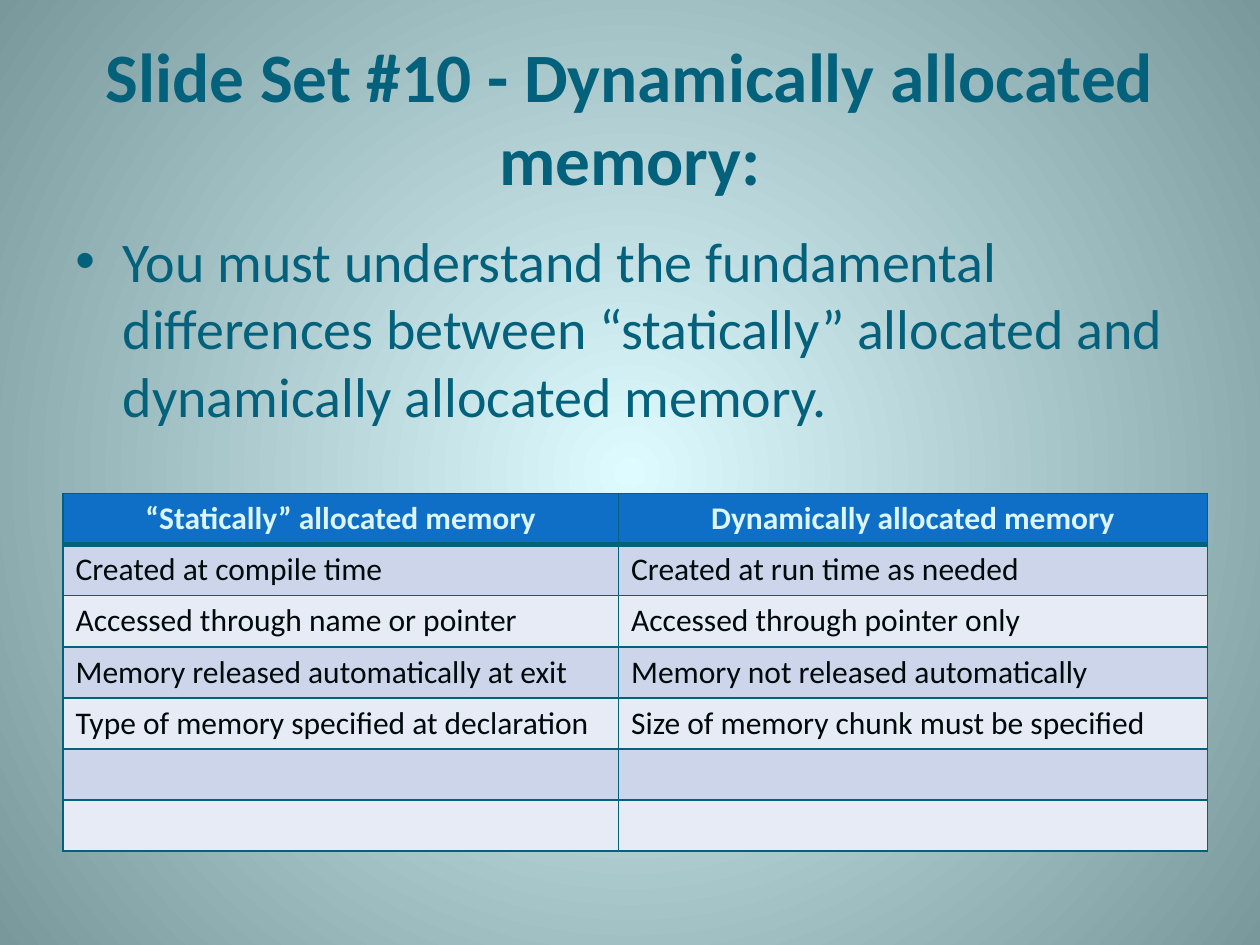
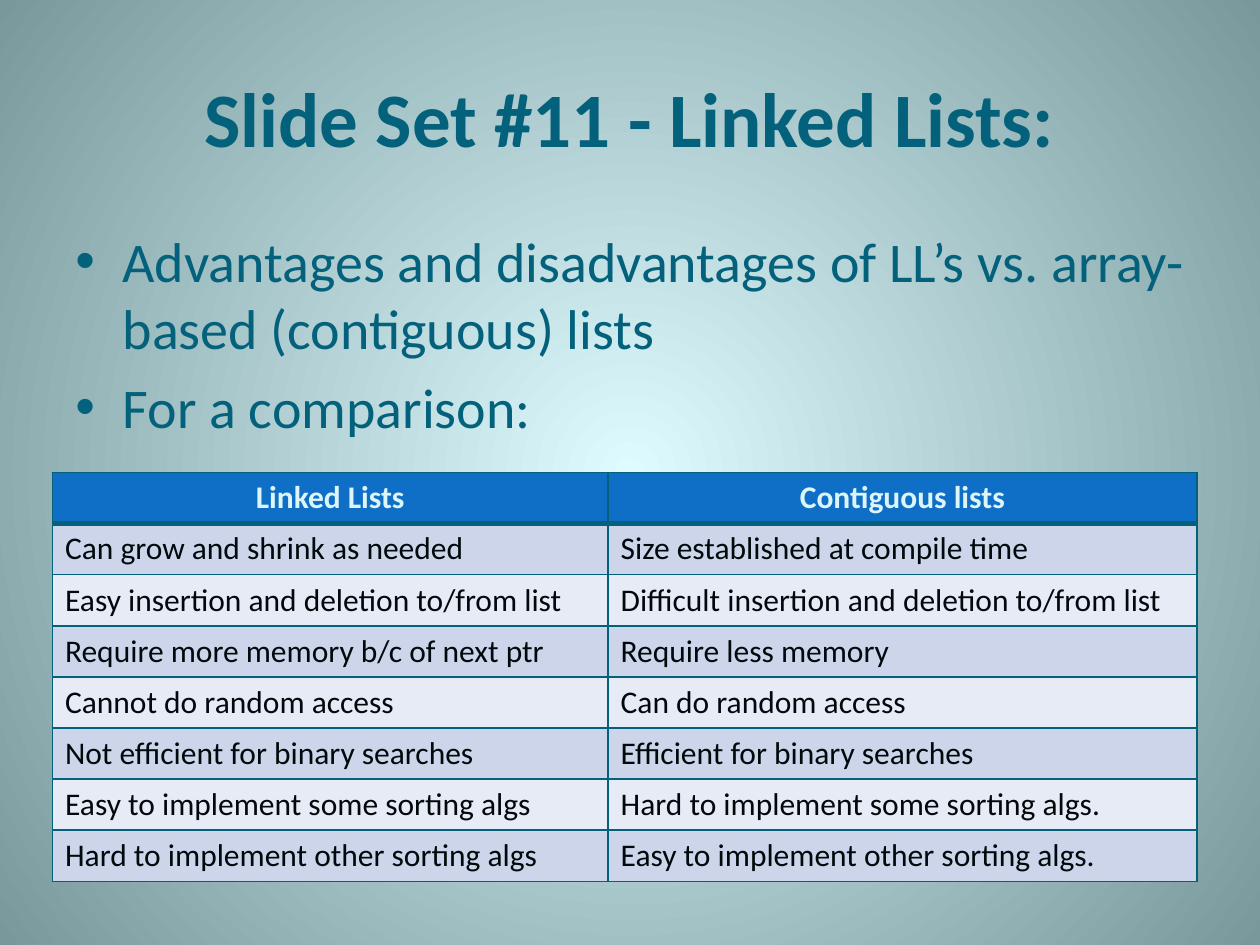
from lxml import etree
from pptx import Presentation
from pptx.dml.color import RGBColor
from pptx.enum import text
from pptx.oxml import ns
from pptx.util import Pt

TEAL = RGBColor(0x04, 0x61, 0x7B)
GLOW = RGBColor(0xDE, 0xFB, 0xFF)
EDGE = RGBColor(0x79, 0x98, 0x9C)
HEADER_BLUE = RGBColor(0x0F, 0x6F, 0xC6)
HEADER_TEXT = RGBColor(0xDB, 0xF5, 0xF9)
CELL_TEXT = RGBColor(0x00, 0x0A, 0x0C)
BANDS = [RGBColor(0xCC, 0xD5, 0xEA), RGBColor(0xE7, 0xEB, 0xF5)]

FONT = "Calibri"
TITLE_BOX = (36, 21.6, 648, 90)
BODY_BOX = (36, 126, 648, 126)
COLUMN_WIDTHS = (317.5, 336.5)
ROW_HEIGHT = 29.2
BULLET_INDENT = 27

MEMORY_ROWS = [
    ("“Statically” allocated memory", "Dynamically allocated memory"),
    ("Created at compile time", "Created at run time as needed"),
    ("Accessed through name or pointer", "Accessed through pointer only"),
    ("Memory released automatically at exit", "Memory not released automatically"),
    ("Type of memory specified at declaration", "Size of memory chunk must be specified"),
    ("", ""),
    ("", ""),
]
LIST_ROWS = [
    ("Linked Lists", "Contiguous lists"),
    ("Can grow and shrink as needed", "Size established at compile time"),
    ("Easy insertion and deletion to/from list", "Difficult insertion and deletion to/from list"),
    ("Require more memory b/c of next ptr", "Require less memory"),
    ("Cannot do random access", "Can do random access"),
    ("Not efficient for binary searches", "Efficient for binary searches"),
    ("Easy to implement some sorting algs", "Hard to implement some sorting algs."),
    ("Hard to implement other sorting algs", "Easy to implement other sorting algs."),
]


def add_child(parent, tag, **attributes):
    return etree.SubElement(parent, ns.qn(tag), **attributes)


def set_font(para, size, color, bold=False):
    font = para.font
    font.name, font.size, font.bold = FONT, Pt(size), bold
    font.color.rgb = color


def paint_background(page):
    """Fill the page with a circular gradient, light in the middle."""
    fill = page.background.fill
    fill.gradient()
    for stop, color, position in zip(fill.gradient_stops, (GLOW, EDGE), (0, 1)):
        stop.color.rgb = color
        stop.position = position
    gradient = page.element.xpath(".//p:bg//a:gradFill")[0]
    gradient.remove(gradient.find(ns.qn("a:lin")))
    circle = add_child(gradient, "a:path", path="circle")
    add_child(circle, "a:fillToRect", l="50000", t="50000", r="50000", b="50000")


def add_text_frame(page, box, anchor):
    frame = page.shapes.add_textbox(*map(Pt, box)).text_frame
    frame.word_wrap = True
    frame.vertical_anchor = anchor
    return frame


def add_title(page, box, title, size):
    para = add_text_frame(page, box, text.MSO_ANCHOR.MIDDLE).paragraphs[0]
    para.text = title
    para.alignment = text.PP_ALIGN.CENTER
    set_font(para, size, TEAL, bold=True)


def add_bullets(page, box, bullets):
    frame = add_text_frame(page, box, text.MSO_ANCHOR.TOP)
    for index, bullet in enumerate(bullets):
        para = frame.add_paragraph() if index else frame.paragraphs[0]
        para.text = bullet
        if index:
            para.space_before = Pt(6.4)
        properties = para._p.get_or_add_pPr()
        properties.set("marL", str(Pt(BULLET_INDENT)))
        properties.set("indent", str(-Pt(BULLET_INDENT)))
        add_child(properties, "a:buFont", typeface="Arial")
        add_child(properties, "a:buChar", char="•")
        set_font(para, 32, TEAL)


def add_borders(cell, top, bottom):
    properties = cell._tc.get_or_add_tcPr()
    for side, width in (("L", 1), ("R", 1), ("T", top), ("B", bottom)):
        line = add_child(properties, f"a:ln{side}", w=str(Pt(width)))
        add_child(add_child(line, "a:solidFill"), "a:srgbClr", val=str(TEAL))


def style_cell(cell, row):
    para = cell.text_frame.paragraphs[0]
    add_borders(cell, top=3 if row == 1 else 1, bottom=1 if row else 3)
    cell.fill.solid()
    if row == 0:
        cell.fill.fore_color.rgb = HEADER_BLUE
        para.alignment = text.PP_ALIGN.CENTER
        set_font(para, 18, HEADER_TEXT, bold=True)
    else:
        cell.fill.fore_color.rgb = BANDS[(row - 1) % 2]
        set_font(para, 18, CELL_TEXT)


def add_comparison(page, left, top, rows):
    frame = page.shapes.add_table(
        len(rows), len(COLUMN_WIDTHS), Pt(left), Pt(top),
        Pt(sum(COLUMN_WIDTHS)), Pt(ROW_HEIGHT * len(rows)))
    table = frame.table
    table.first_row = table.horz_banding = False
    for column, width in zip(table.columns, COLUMN_WIDTHS):
        column.width = Pt(width)
    for row, labels in enumerate(rows):
        table.rows[row].height = Pt(ROW_HEIGHT)
        for column, label in enumerate(labels):
            cell = table.cell(row, column)
            cell.text = label
            style_cell(cell, row)


def add_comparison_slide(deck, title, title_size, bullets, table_corner, rows):
    page = deck.slides.add_slide(deck.slide_layouts[6])
    paint_background(page)
    add_title(page, TITLE_BOX, title, title_size)
    add_bullets(page, BODY_BOX, bullets)
    add_comparison(page, *table_corner, rows)


def main():
    deck = Presentation()
    deck.slide_width, deck.slide_height = Pt(720), Pt(540)
    add_comparison_slide(
        deck, "Slide Set #10 - Dynamically allocated memory:", 39.6,
        ["You must understand the fundamental differences between "
         "“statically” allocated and dynamically allocated memory."],
        (36, 282), MEMORY_ROWS)
    add_comparison_slide(
        deck, "Slide Set #11 - Linked Lists:", 44,
        ["Advantages and disadvantages of LL’s vs. array-based (contiguous) lists",
         "For a comparison:"],
        (30, 270), LIST_ROWS)
    deck.save("out.pptx")


if __name__ == "__main__":
    main()
